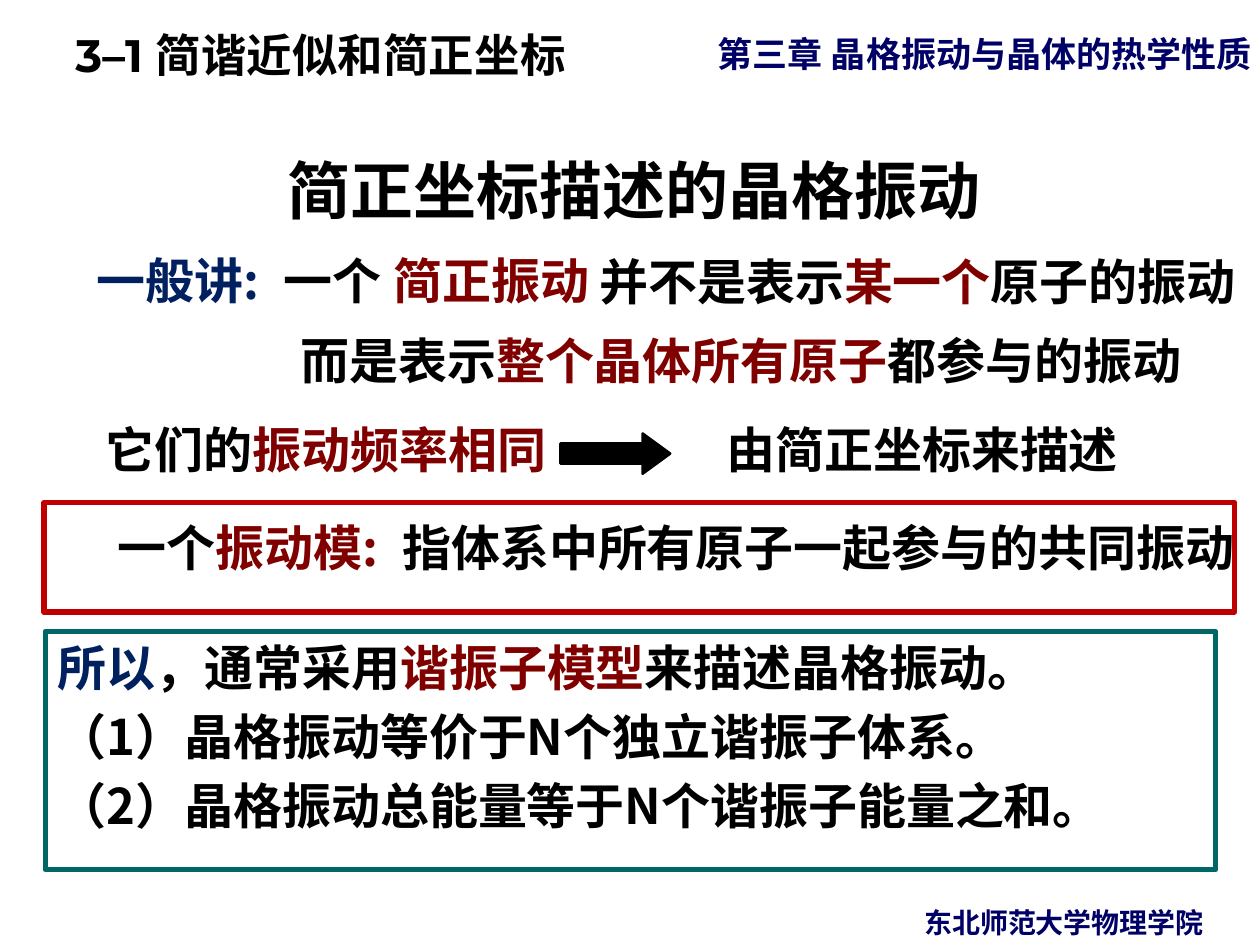
from pptx import Presentation
from pptx.dml.color import RGBColor
from pptx.enum.shapes import MSO_SHAPE
from pptx.enum.text import MSO_ANCHOR, MSO_AUTO_SIZE, PP_ALIGN
from pptx.oxml.ns import qn
from pptx.util import Cm, Pt
from lxml.etree import SubElement

CHINESE_FONT = "Noto Sans CJK SC"
LATIN_FONT = "Montserrat"
BLACK = RGBColor(0x00, 0x00, 0x00)
INDIGO = RGBColor(0x00, 0x00, 0x66)
NAVY = RGBColor(0x00, 0x20, 0x60)
MAROON = RGBColor(0x80, 0x00, 0x00)
RED = RGBColor(0xC0, 0x00, 0x00)
TEAL = RGBColor(0x00, 0x66, 0x66)

TEXT_HEIGHT = 1.45
STATEMENTS = [
    (1.7, 4.93, 3.78, False, [("一般讲:", NAVY)]),
    (5.46, 4.93, 2.49, False, [("一个", BLACK)]),
    (7.32, 4.93, 5.18, True, [("简正振动", MAROON)]),
    (11.79, 4.95, 13.41, False,
     [("并不是表示", BLACK), ("某一个", MAROON), ("原子的振动", BLACK)]),
    (5.31, 6.53, 19.25, True,
     [("而是表示", BLACK), ("整个晶体所有原子", MAROON), ("都参与的振动", BLACK)]),
    (1.3, 8.33, 10.54, True, [("它们的", BLACK), ("振动频率相同", MAROON)]),
    (13.69, 8.33, 9.8, True, [("由简正坐标来描述", BLACK)]),
    (2.11, 10.31, 5.79, False, [("一个", BLACK), ("振动模:", MAROON)]),
    (7.59, 10.31, 17.81, True, [("指体系中所有原子一起参与的共同振动", BLACK)]),
]
CONCLUSIONS = [
    [("所以", NAVY), ("，通常采用", BLACK), ("谐振子模型", MAROON),
     ("来描述晶格振动。", BLACK)],
    [("（1）晶格振动等价于N个独立谐振子体系。", BLACK)],
    [("（2）晶格振动总能量等于N个谐振子能量之和。", BLACK)],
]


def place(shape, left, top, width, height):
    """Move and size a shape, in centimetres."""
    shape.left, shape.top = Cm(left), Cm(top)
    shape.width, shape.height = Cm(width), Cm(height)


def write_paragraph(para, spans, size, align=PP_ALIGN.CENTER, latin=CHINESE_FONT):
    """Fill a paragraph with coloured spans in one bold font."""
    para.alignment = align
    font = para.font
    font.size, font.bold, font.name = Pt(size), True, latin
    east_asian = SubElement(para._p.pPr.find(qn("a:defRPr")), qn("a:ea"))
    east_asian.set("typeface", CHINESE_FONT)
    for text, color in spans:
        span = para.add_run()
        span.text = text
        span.font.color.rgb = color


def add_text(page, bounds, spans, size, wrap=True):
    """Add a centred one-paragraph text box."""
    box = page.shapes.add_textbox(*map(Cm, bounds))
    box.text_frame.word_wrap = wrap
    write_paragraph(box.text_frame.paragraphs[0], spans, size)


def add_section(page):
    """Add the indented section name at the top left."""
    box = page.shapes.add_textbox(Cm(0), Cm(0.18), Cm(14), Cm(1.55))
    box.text_frame.word_wrap = True
    box.text_frame.vertical_anchor = MSO_ANCHOR.MIDDLE
    para = box.text_frame.paragraphs[0]
    para.line_spacing = 1.25
    write_paragraph(para, [("3–1 简谐近似和简正坐标", BLACK)], 26,
                    PP_ALIGN.LEFT, LATIN_FONT)
    para._p.pPr.set("indent", str(Cm(1.27)))


def fill_title(title):
    """Place and write the slide title."""
    place(title, 0.76, 2.92, 24.05, 1.8)
    title.text_frame.vertical_anchor = MSO_ANCHOR.TOP
    write_paragraph(title.text_frame.paragraphs[0],
                    [("简正坐标描述的晶格振动", BLACK)], 36)


def fill_conclusions(body):
    """Place the framed body and write its hanging paragraphs."""
    place(body, 0.91, 12.73, 23.6, 4.8)
    body.line.color.rgb = TEAL
    body.line.width = Pt(3)
    frame = body.text_frame
    frame.auto_size = MSO_AUTO_SIZE.NONE
    for index, spans in enumerate(CONCLUSIONS):
        para = frame.add_paragraph() if index else frame.paragraphs[0]
        para.space_before = Pt(5.6 if index else 0)
        properties = para._p.get_or_add_pPr()
        properties.set("marL", str(Cm(0.95)))
        properties.set("indent", str(Cm(-0.95)))
        SubElement(properties, qn("a:buNone"))
        write_paragraph(para, spans, 28, PP_ALIGN.LEFT)


def add_outlined(page, kind, bounds, color, line_width):
    """Add a preset shape with a coloured line and no fill."""
    shape = page.shapes.add_shape(kind, *map(Cm, bounds))
    shape.shadow.inherit = False
    shape.fill.background()
    shape.line.color.rgb = color
    shape.line.width = Pt(line_width)
    return shape


def add_arrow(page):
    """Add the solid arrow between cause and description."""
    arrow = add_outlined(page, MSO_SHAPE.RIGHT_ARROW, (11.3, 8.74, 2.21, 0.81), BLACK, 1.5)
    arrow.adjustments[1] = 0.685
    arrow.fill.solid()
    arrow.fill.fore_color.rgb = BLACK


def main():
    """Build and save the slide."""
    deck = Presentation()
    deck.slide_width, deck.slide_height = Cm(25.4), Cm(19.05)
    page = deck.slides.add_slide(deck.slide_layouts[1])
    fill_title(page.shapes.title)
    fill_conclusions(page.placeholders[1])
    add_section(page)
    add_text(page, (14, 0.53, 11.71, 1.12), [("第三章 晶格振动与晶体的热学性质", INDIGO)], 20)
    add_text(page, (17.5, 18.14, 7.9, 0.94), [("东北师范大学物理学院", INDIGO)], 16)
    for left, top, width, wrap, spans in STATEMENTS:
        add_text(page, (left, top, width, TEXT_HEIGHT), spans, 28, wrap)
    add_arrow(page)
    add_outlined(page, MSO_SHAPE.RECTANGLE, (0.89, 10.13, 24, 2.21), RED, 3)
    deck.save("out.pptx")


if __name__ == "__main__":
    main()
